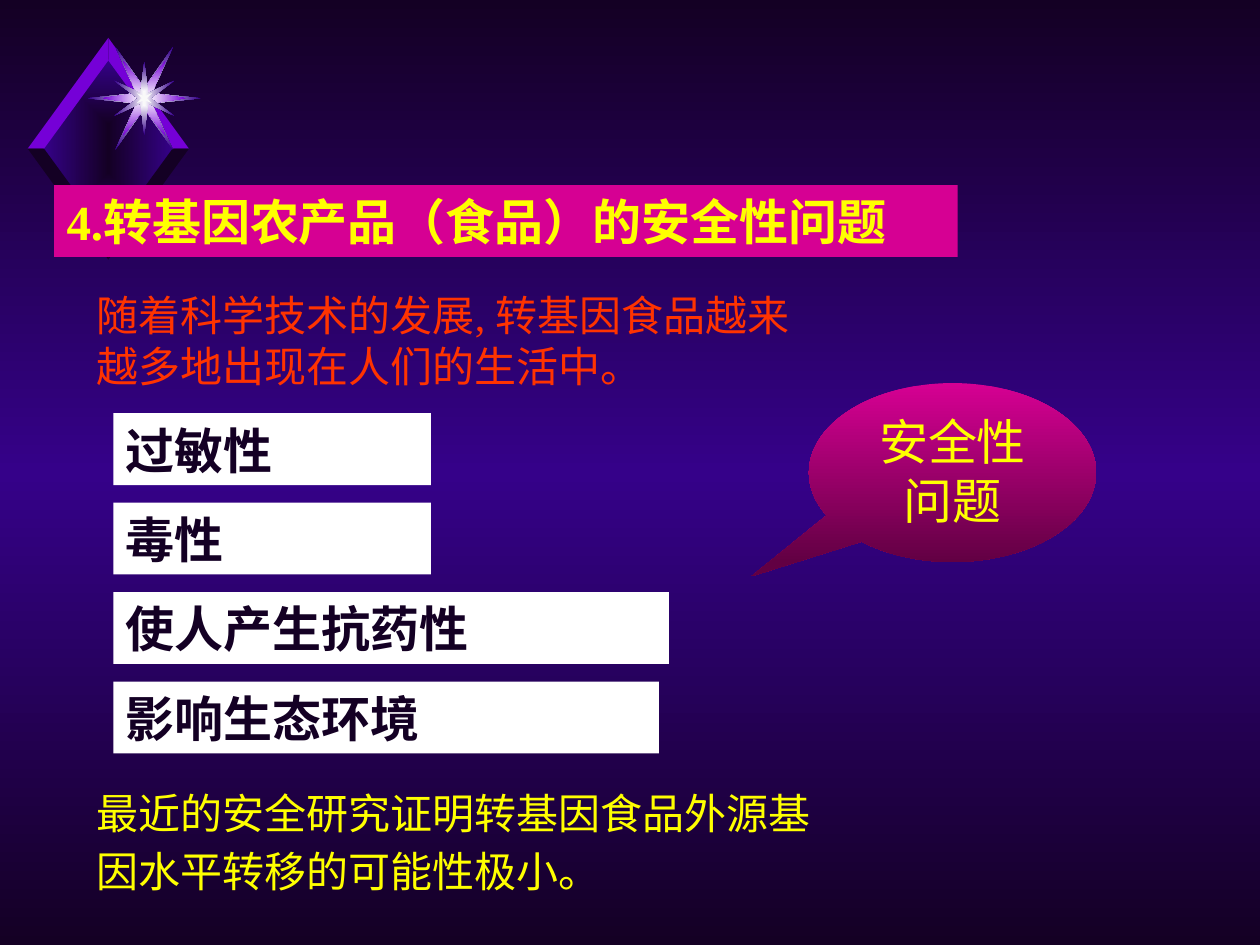
from itertools import product

from lxml import etree
from pptx import Presentation
from pptx.dml.color import RGBColor
from pptx.enum.shapes import MSO_SHAPE
from pptx.enum.text import MSO_ANCHOR, MSO_AUTO_SIZE, PP_ALIGN
from pptx.oxml.ns import qn
from pptx.util import Inches, Pt

RECTANGLE = MSO_SHAPE.RECTANGLE
CALLOUT = MSO_SHAPE.OVAL_CALLOUT
BOTTOM = MSO_ANCHOR.BOTTOM
FIT_SHAPE = MSO_AUTO_SIZE.SHAPE_TO_FIT_TEXT
NO_FIT = MSO_AUTO_SIZE.NONE
LEFT, CENTER = PP_ALIGN.LEFT, PP_ALIGN.CENTER

FONT = "Times New Roman"
COLORS = {
    "night": "140024", "indigo": "350189", "violet": "7500D7",
    "white": "FFFFFF", "glow": "F9F9F9", "magenta": "D60093",
    "plum": "620043", "yellow": "FFFF00", "red": "FF3300",
}
BAR_LEFT, BAR_TOP, BAR_PITCH, BAR_HEIGHT = 0.9, 3.28, 0.71, 0.57
RISKS = [("过敏性", 2.52), ("毒性", 2.52), ("使人产生抗药性", 4.41), ("影响生态环境", 4.33)]
GEM_CENTER, STAR_CENTER = (0.86, 1.18), (1.145, 0.78)
GEM_QUADRANT = [(0, 0.71), (0.52, 0)]
BAND = [(0, 0.7), (0, 0.88), (0.64, 0), (0.51, 0)]
STARS = [
    ([(0, 0.08), (0.23, 0.41), (0.06, 0.04), (0.45, 0)], ["white", "indigo"]),
    ([(0, 0.08), (0.17, 0.3), (0.06, 0.04), (0.33, 0)], ["white", "violet"]),
    ([(0, 0.29), (0.03, 0.04), (0.24, 0.14), (0.05, 0)], ["white", "indigo"]),
    ([(0, 0.07), (0.01, 0.02), (0.06, 0.04), (0.02, 0)], ["glow"]),
]


def rgb(name):
    """Return the named colour."""
    return RGBColor.from_string(COLORS[name])


def paint(fill, element, names, centred=False):
    """Fill with one colour, or with an even vertical or centred gradient."""
    if len(names) == 1:
        fill.solid()
        fill.fore_color.rgb = rgb(names[0])
        return
    fill.gradient()
    gradient = next(element.iter(qn("a:gradFill")))
    for child in list(gradient):
        gradient.remove(child)
    stops = etree.SubElement(gradient, qn("a:gsLst"))
    for index, name in enumerate(names):
        position = str(100000 * index // (len(names) - 1))
        stop = etree.SubElement(stops, qn("a:gs"), pos=position)
        etree.SubElement(stop, qn("a:srgbClr"), val=COLORS[name])
    if centred:
        path = etree.SubElement(gradient, qn("a:path"), path="rect")
        sides = dict.fromkeys("ltrb", "50000")
        etree.SubElement(path, qn("a:fillToRect"), **sides)
    else:
        etree.SubElement(gradient, qn("a:lin"), ang="5400000", scaled="0")


def finish(shape, names, centred=False):
    """Paint a shape and take away its line and shadow."""
    paint(shape.fill, shape.element, names, centred)
    shape.line.fill.background()
    shape.shadow.inherit = False


def add_outline(slide, center, offsets, names):
    """Draw a closed outline from offsets around a center."""
    points = [(Inches(center[0] + x), Inches(center[1] + y)) for x, y in offsets]
    builder = slide.shapes.build_freeform(*points[0])
    builder.add_line_segments(points[1:], close=True)
    finish(builder.convert_to_shape(), names, centred=True)


def mirror(quadrant):
    """Unfold a quadrant, given from top to right, into a full outline."""
    right = [(x, -y) for x, y in quadrant] + [(x, y) for x, y in quadrant[-2::-1]]
    return right + [(-x, y) for x, y in right[-2:0:-1]]


def add_ornament(slide):
    """Draw the gem with its bands and the layered star."""
    add_outline(slide, GEM_CENTER, mirror(GEM_QUADRANT), ["night", "indigo"])
    for (vertical, color), side in product([(-1, "violet"), (1, "night")], (1, -1)):
        offsets = [(side * x, vertical * y) for x, y in BAND]
        add_outline(slide, GEM_CENTER, offsets, [color])
    for quadrant, names in STARS:
        add_outline(slide, STAR_CENTER, mirror(quadrant), names)


def write(shape, text, color, size=28, bold=False, align=LEFT, fit=FIT_SHAPE, tail_size=None):
    """Write one wrapped, bottom-anchored paragraph."""
    frame = shape.text_frame
    frame.word_wrap = True
    frame.auto_size = fit
    frame.vertical_anchor = BOTTOM
    paragraph = frame.paragraphs[0]
    paragraph.alignment = align
    runs = [(text, size)] + ([(" ", tail_size)] if tail_size else [])
    for content, points in runs:
        run = paragraph.add_run()
        run.text = content
        run.font.name = FONT
        run.font.size = Pt(points)
        run.font.bold = bold
        run.font.color.rgb = rgb(color)


def add_panel(slide, box, text, color, names, kind=RECTANGLE, **style):
    """Add a filled shape with text."""
    shape = slide.shapes.add_shape(kind, *map(Inches, box))
    finish(shape, names)
    write(shape, text, color, **style)
    return shape


def add_text(slide, box, text, color, **style):
    """Add a plain text box."""
    write(slide.shapes.add_textbox(*map(Inches, box)), text, color, **style)


def main():
    """Build and save the slide."""
    presentation = Presentation()
    presentation.slide_width, presentation.slide_height = Inches(10), Inches(7.5)
    slide = presentation.slides.add_slide(presentation.slide_layouts[6])
    paint(slide.background.fill, slide.element, ["night", "indigo", "night"])
    add_ornament(slide)
    add_panel(slide, (0.43, 1.47, 7.17, BAR_HEIGHT), "4.转基因农产品（食品）的安全性问题",
              "yellow", ["magenta"], bold=True)
    add_text(slide, (0.67, 2.25, 5.99, 0.9),
             "随着科学技术的发展, 转基因食品越来越多地出现在人们的生活中。", "red", size=24)
    for row, (risk, width) in enumerate(RISKS):
        box = (BAR_LEFT, BAR_TOP + row * BAR_PITCH, width, BAR_HEIGHT)
        add_panel(slide, box, risk, "night", ["white"], bold=True)
    callout = add_panel(slide, (6.42, 3.04, 2.28, 1.42), "安全性问题", "yellow",
                        ["magenta", "plum"], kind=CALLOUT, align=CENTER, fit=NO_FIT)
    callout.adjustments[0], callout.adjustments[1] = -0.7, 0.58
    add_text(slide, (0.67, 6.2, 6.14, 0.97),
             "最近的安全研究证明转基因食品外源基因水平转移的可能性极小。", "yellow",
             size=24, tail_size=28)
    presentation.save("out.pptx")


if __name__ == "__main__":
    main()
